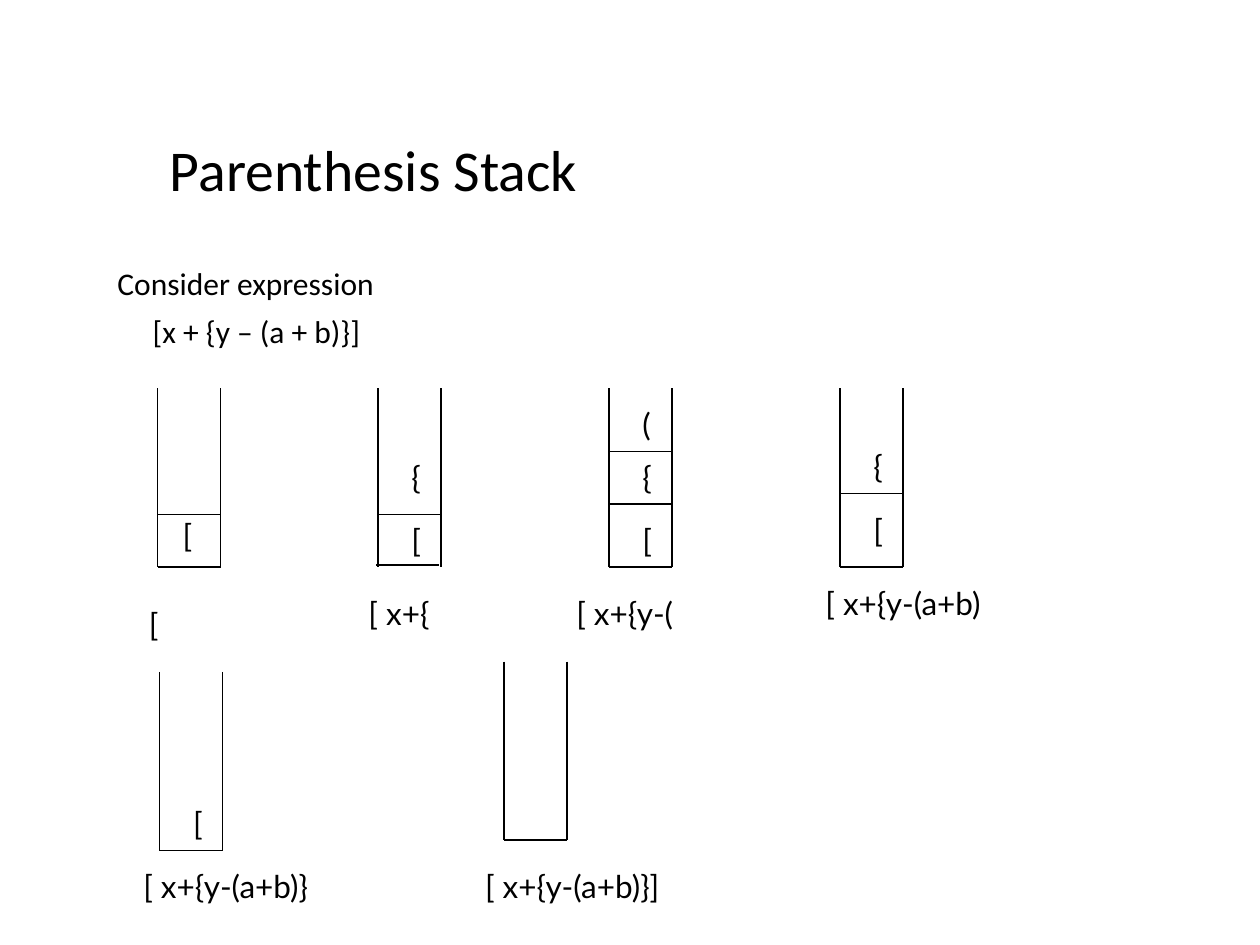
"""Build the Parenthesis Stack slide on a grid of 120 columns by 90 rows."""
from dataclasses import dataclass

from lxml.etree import SubElement
from pptx import Presentation
from pptx.dml.color import RGBColor
from pptx.enum.shapes import MSO_CONNECTOR
from pptx.enum.text import MSO_ANCHOR, PP_ALIGN
from pptx.oxml.ns import qn
from pptx.slide import Slide
from pptx.text.text import TextFrame, _Paragraph
from pptx.util import Inches, Length, Pt

BLACK = RGBColor(0x00, 0x00, 0x00)
CELL = 1 / 12
STACK_WIDTH, STACK_HEIGHT = 6, 17
SYMBOL_WIDTH, TEXT_HEIGHT = 3, 4.8


@dataclass(frozen=True)
class Label:
    """Text with its left column, top row and width in columns."""

    text: str
    column: float
    row: float
    width: float = SYMBOL_WIDTH


@dataclass(frozen=True)
class Stack:
    """One state of the stack, open at the top."""

    column: float
    row: float
    caption: Label
    symbols: tuple[tuple[str, float], ...] = ()
    dividers: tuple[float, ...] = ()
    symbol_inset: float = 2
    base_shift: float = 0


STACKS = (
    Stack(15, 37, Label("[", 13, 57), (("[", 48.6),), (49,), symbol_inset=1.2),
    Stack(36, 37, Label("[ x+{", 33, 56, 10), (("[", 49), ("{", 43)), (49,), base_shift=-0.2),
    Stack(58, 37, Label("[ x+{y-(", 52, 56, 15), (("[", 49), ("{", 43), ("(", 38)), (48, 43)),
    Stack(80, 37, Label("[ x+{y-(a+b)", 75, 55, 22), (("[", 48.1), ("{", 42)), (47,)),
    Stack(15.2, 64, Label("[ x+{y-(a+b)}", 10, 82, 23), (("[", 76),)),
    Stack(48, 63, Label("[ x+{y-(a+b)}]", 43, 82, 23)),
)


def grid(cells: float) -> Length:
    """Turn grid cells into a length."""
    return Inches(cells * CELL)


def add_frame(page: Slide, column: float, row: float, width: float, height: float) -> TextFrame:
    """Add a wrapping text box and return its frame."""
    box = page.shapes.add_textbox(grid(column), grid(row), grid(width), grid(height))
    box.text_frame.word_wrap = True
    return box.text_frame


def add_span(para: _Paragraph, text: str, size: float, font: str) -> None:
    """Add one black run to a paragraph."""
    span = para.add_run()
    span.text = text
    span.font.size = Pt(size)
    span.font.name = font
    span.font.color.rgb = BLACK


def add_label(page: Slide, label: Label) -> None:
    """Draw a centred label."""
    para = add_frame(page, label.column, label.row, label.width, TEXT_HEIGHT).paragraphs[0]
    para.alignment = PP_ALIGN.CENTER
    add_span(para, label.text, 18, "Lato")


def add_line(page: Slide, left: float, top: float, right: float, bottom: float) -> None:
    """Draw a thin black line between two grid points."""
    line = page.shapes.add_connector(
        MSO_CONNECTOR.STRAIGHT, grid(left), grid(top), grid(right), grid(bottom)
    )
    line.line.color.rgb = BLACK
    line.line.width = Pt(0.75)
    SubElement(line._element.spPr, qn("a:effectLst"))


def add_stack(page: Slide, stack: Stack) -> None:
    """Draw the walls, base, dividers, symbols and caption of a stack."""
    left, right = stack.column, stack.column + STACK_WIDTH
    bottom = stack.row + STACK_HEIGHT
    shift = stack.base_shift
    for wall in (left, right):
        add_line(page, wall, stack.row, wall, bottom)
    add_line(page, left + shift, bottom + shift, right + shift, bottom + shift)
    for row in stack.dividers:
        add_line(page, left, row, right, row)
    for text, row in stack.symbols:
        add_label(page, Label(text, left + stack.symbol_inset, row))
    add_label(page, stack.caption)


def add_title(page: Slide) -> None:
    """Draw the slide title."""
    frame = add_frame(page, 15, 9, 102, 15)
    frame.vertical_anchor = MSO_ANCHOR.MIDDLE
    para = frame.paragraphs[0]
    para.line_spacing = 0.9
    add_span(para, "Parenthesis Stack", 33, "Calibri")


def add_expression(page: Slide) -> None:
    """Draw the introduction and the indented expression."""
    frame = add_frame(page, 10, 25, 104, 10)
    intro, expression = frame.paragraphs[0], frame.add_paragraph()
    expression._p.get_or_add_pPr().set("marL", str(Inches(0.28)))
    expression.space_before = Pt(7.5)
    for para, text in ((intro, "Consider expression"), (expression, "[x + {y – (a + b)}]")):
        para.line_spacing = 0.9
        add_span(para, text, 18, "Calibri")


def main() -> None:
    """Build and save the deck."""
    deck = Presentation()
    deck.slide_width, deck.slide_height = grid(120), grid(90)
    page = deck.slides.add_slide(deck.slide_layouts[6])
    add_title(page)
    add_expression(page)
    for stack in STACKS:
        add_stack(page, stack)
    deck.save("out.pptx")


if __name__ == "__main__":
    main()
